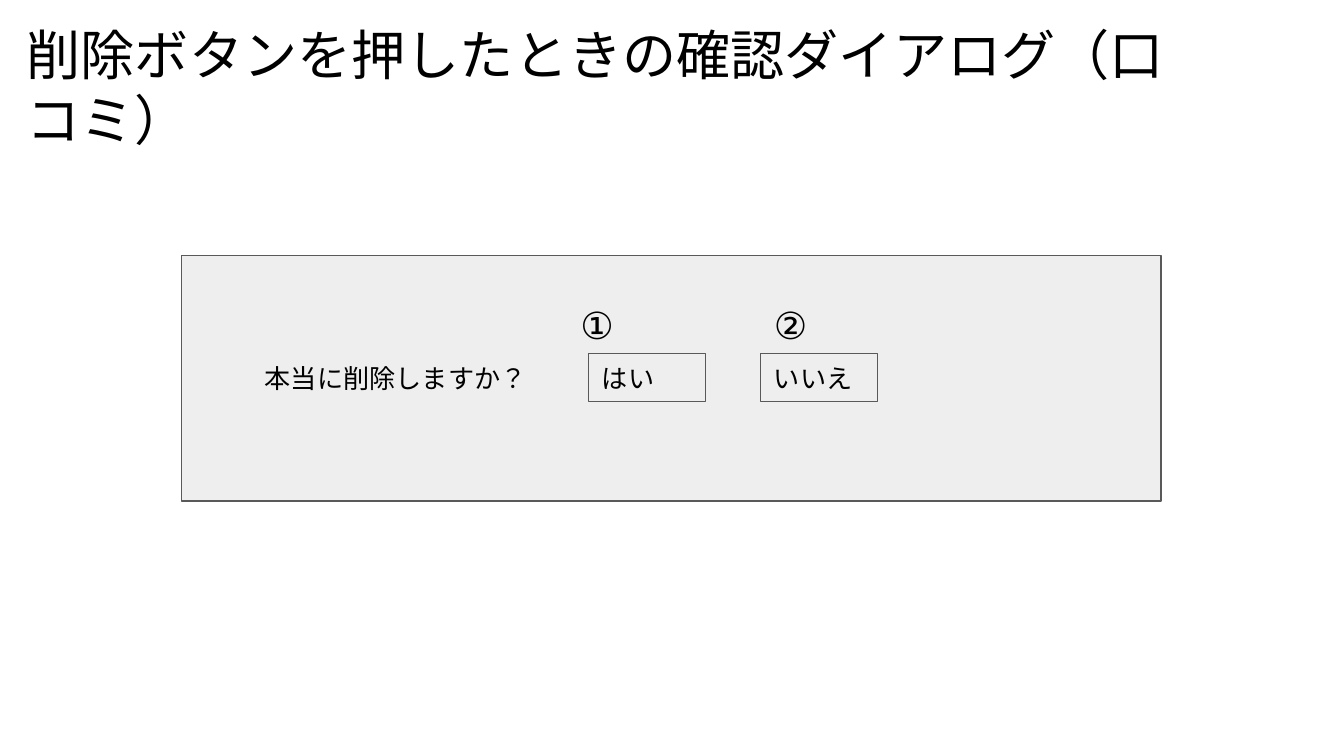
from lxml import etree
from pptx import Presentation
from pptx.dml.color import RGBColor
from pptx.enum.lang import MSO_LANGUAGE_ID
from pptx.enum.shapes import MSO_SHAPE
from pptx.enum.text import MSO_ANCHOR, PP_ALIGN
from pptx.oxml.ns import qn
from pptx.util import Inches, Pt

RECT = MSO_SHAPE.RECTANGLE
MIDDLE, TOP = MSO_ANCHOR.MIDDLE, MSO_ANCHOR.TOP
LEFT = PP_ALIGN.LEFT
JAPANESE = MSO_LANGUAGE_ID.JAPANESE
FONT = "Arial"
BLACK = RGBColor(0x00, 0x00, 0x00)
GRAY = RGBColor(0xEE, 0xEE, 0xEE)
EDGE = RGBColor(0x59, 0x59, 0x59)

deck = Presentation()
deck.slide_width = Inches(10)
deck.slide_height = deck.slide_width * 9 // 16
slide = deck.slides.add_slide(deck.slide_layouts[6])


def write(shape, text, size, anchor, indent=0.1):
    """Fill a shape with one left-aligned line; indent is its left inset in inches."""
    frame = shape.text_frame
    layout = {
        "word_wrap": True,
        "vertical_anchor": anchor,
        "margin_left": Inches(indent),
        "margin_right": Inches(0.1),
        "margin_top": Inches(0.1),
        "margin_bottom": Inches(0.1),
    }
    for key, value in layout.items():
        setattr(frame, key, value)
    para = frame.paragraphs[0]
    para.alignment = LEFT
    run = para.add_run()
    run.text = text
    style = {"name": FONT, "size": Pt(size), "language_id": JAPANESE}
    for key, value in style.items():
        setattr(run.font, key, value)
    run.font.color.rgb = BLACK
    # East Asian and complex scripts use the same font
    for tag in ("a:ea", "a:cs"):
        etree.SubElement(run._r.get_or_add_rPr(), qn(tag), typeface=FONT)


title = slide.shapes.add_textbox(Inches(0.1), Inches(0.06), Inches(8.89), Inches(0.64))
write(title, "削除ボタンを押したときの確認ダイアログ（口コミ）", 29, TOP)

# Dialog panel and its two buttons: text, left, top, width, height, indent
boxes = [
    ("本当に削除しますか？", 1.35, 1.9, 7.29, 1.83, 0.62),
    ("はい", 4.38, 2.63, 0.87, 0.36, 0.1),
    ("いいえ", 5.66, 2.63, 0.87, 0.36, 0.1),
]
for text, *place, indent in boxes:
    box = slide.shapes.add_shape(RECT, *map(Inches, place))
    box.shadow.inherit = False
    box.fill.solid()
    box.fill.fore_color.rgb = GRAY
    box.line.color.rgb = EDGE
    box.line.width = Pt(0.75)
    write(box, text, 14, MIDDLE, indent)

for mark, left in (("①", 4.22), ("②", 5.66)):
    label = slide.shapes.add_textbox(Inches(left), Inches(2.15), Inches(0.65), Inches(0.36))
    write(label, mark, 20, TOP)

deck.save("out.pptx")
